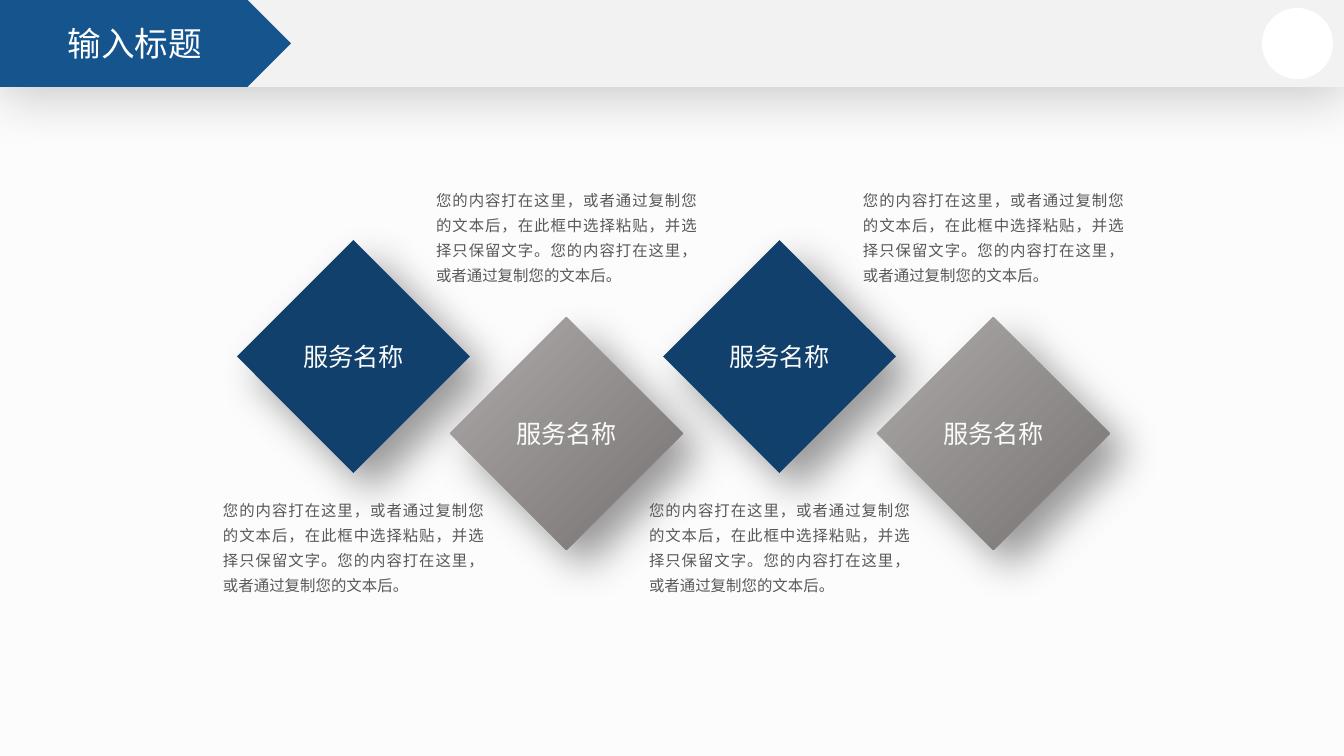
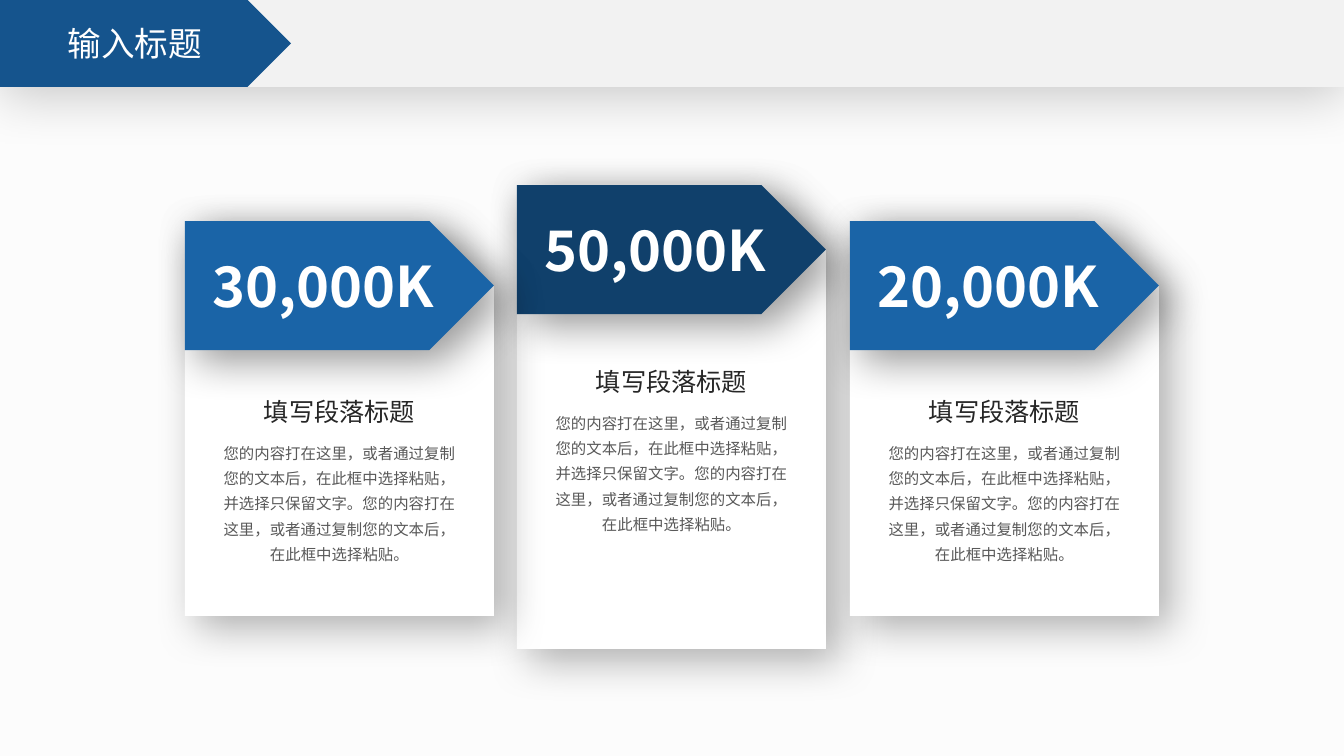
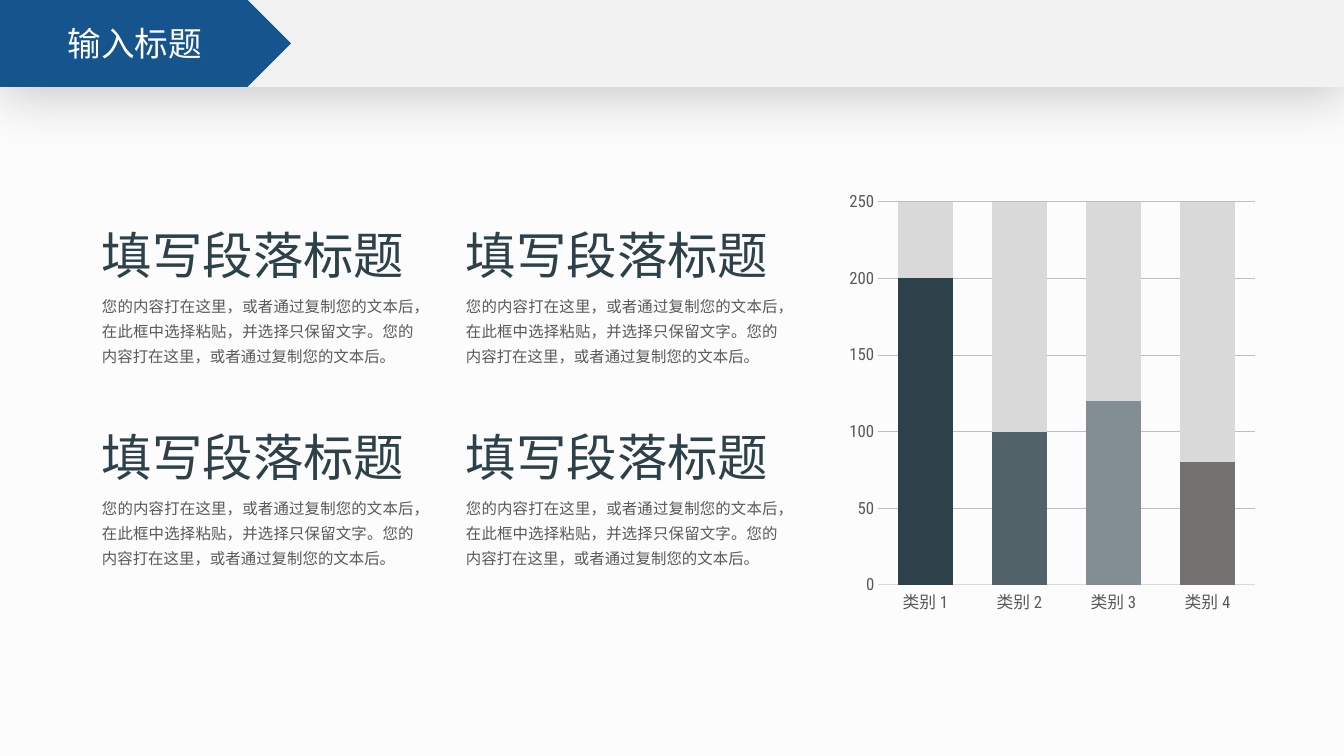
"""Build three slides: linked services, figure cards and a column chart with notes."""
from lxml.etree import SubElement
from pptx import Presentation
from pptx.chart.data import CategoryChartData as ChartData
from pptx.dml.color import RGBColor as Rgb
from pptx.enum.chart import XL_CHART_TYPE as Chart, XL_TICK_MARK as Tick
from pptx.enum.shapes import MSO_SHAPE as Form
from pptx.enum.text import MSO_ANCHOR as Anchor, MSO_AUTO_SIZE as Fit, PP_ALIGN as Align
from pptx.oxml.ns import qn
from pptx.util import Emu, Pt

PAPER = Rgb(0xFC, 0xFC, 0xFC)
BAND = Rgb(0xF2, 0xF2, 0xF2)
WHITE = Rgb(0xFF, 0xFF, 0xFF)
PALE = Rgb(0xFA, 0xFA, 0xFA)
TITLE = Rgb(0x15, 0x54, 0x8D)
NAVY = Rgb(0x10, 0x40, 0x6B)
BLUE = Rgb(0x1A, 0x64, 0xA7)
SILVER = Rgb(0xAF, 0xAB, 0xAB)
STONE = Rgb(0x76, 0x71, 0x71)
INK = Rgb(0x26, 0x26, 0x26)
GREY = Rgb(0x59, 0x59, 0x59)
SLATE = Rgb(0x2D, 0x41, 0x4A)
STEEL = Rgb(0x52, 0x62, 0x69)
MIST = Rgb(0x82, 0x8E, 0x93)
LIGHT = Rgb(0xD9, 0xD9, 0xD9)
GRID = Rgb(0xBF, 0xBF, 0xBF)

SANS = "Noto Sans CJK SC"
SLIM = "Roboto Condensed"
SCALE = 12192000 / 1344
BAR = 87

START = "您的内容打在这里，或者通过复制您的文本后，在此框中选择粘贴，并选择只保留文字。"
NOTE = START + "您的内容打在这里，或者通过复制您的文本后。"
LONG = START + "您的内容打在这里，或者通过复制您的文本后，在此框中选择粘贴。"
HEAD = "填写段落标题"


def px(*sizes):
    return [Emu(round(size * SCALE)) for size in sizes]


class Deck:
    def __init__(self):
        self.prs = Presentation()
        self.prs.slide_width, self.prs.slide_height = px(1344, 756)
        self.base = self.prs.slide_layouts[5]
        self.slide = None

    def dress(self):
        for holder in list(self.base.placeholders)[1:]:
            holder._element.getparent().remove(holder._element)
        fill = self.base.background.fill
        fill.solid()
        fill.fore_color.rgb = PAPER
        band = self.shape(Form.RECTANGLE, (0, 0, 1344, BAR), BAND, (20, 38, 7, 90))
        plate = self.shape(Form.PENTAGON, (0, 0, 291, BAR), TITLE)
        for spot, part in enumerate((band, plate), 2):
            self.base.shapes._spTree.insert(spot, part._element)

    def page(self, words):
        first = self.slide is None
        self.slide = self.prs.slides.add_slide(self.base)
        if first:
            self.dress()
        title = self.slide.shapes.title
        title.left, title.top, title.width, title.height = px(0, 0, 270, BAR)
        frame = title.text_frame
        frame.auto_size = Fit.NONE
        frame.vertical_anchor = Anchor.MIDDLE
        self.say(frame, words, 24, WHITE, Align.CENTER)

    def say(self, frame, words, size, color, align=Align.LEFT,
            bold=False, lead=None, before=None, after=None):
        para = frame.paragraphs[0]
        if para.runs:
            para = frame.add_paragraph()
        para.alignment = align
        para.line_spacing = lead and Pt(lead)
        para.space_before = before and Pt(before)
        para.space_after = after and Pt(after)
        run = para.add_run()
        run.text = words
        run.font.size = Pt(size)
        run.font.bold = bold
        run.font.color.rgb = color
        run.font.name = SANS
        SubElement(run.font._element, qn("a:ea"), typeface=SANS)

    def shape(self, form, box, color, shade=None):
        item = self.slide.shapes.add_shape(form, *px(*box))
        item.line.fill.background()
        if isinstance(color, list):
            item.fill.gradient()
            item.fill.gradient_angle = 315
            for stop, tone in zip(item.fill.gradient_stops, color):
                stop.color.rgb = tone
        else:
            item.fill.solid()
            item.fill.fore_color.rgb = color
        item.shadow.inherit = False
        if shade:
            self.shade(item, *shade)
        return item

    def shade(self, item, alpha, blur, far, turn):
        glow = item._element.spPr.find(qn("a:effectLst"))
        cast = SubElement(glow, qn("a:outerShdw"), blurRad=str(int(Pt(blur))),
                          dist=str(int(Pt(far))), dir=str(turn * 60000), rotWithShape="0")
        tone = SubElement(cast, qn("a:srgbClr"), val="000000")
        SubElement(tone, qn("a:alpha"), val=str(alpha * 1000))

    def label(self, item, words, size, color, bold=False):
        frame = item.text_frame
        self.plain(frame, False)
        frame.vertical_anchor = Anchor.MIDDLE
        self.say(frame, words, size, color, Align.CENTER, bold)

    def plain(self, frame, wrap=True):
        frame.word_wrap = wrap
        frame.margin_left = frame.margin_right = 0
        frame.margin_top = frame.margin_bottom = 0

    def box(self, place, wrap=True):
        frame = self.slide.shapes.add_textbox(*px(*place)).text_frame
        self.plain(frame, wrap)
        return frame

    def note(self, place):
        self.say(self.box(place), NOTE, 11, GREY, Align.JUSTIFY, lead=18, after=10)

    def card(self, left, top, tall, words, color, low):
        snip = self.shape(Form.SNIP_1_RECTANGLE, (left, top, 309, tall), WHITE, (30, 30, 12, 45))
        snip.adjustments[0] = 0.21
        plate = self.shape(Form.PENTAGON, (left, top, 309, 129), color, (40, 30, 12, 45))
        self.label(plate, words, 40, WHITE, True)
        frame = self.box((left + 37, low, 235, 164))
        self.say(frame, HEAD, 18, INK, Align.CENTER, lead=18)
        self.say(frame, LONG, 11, GREY, Align.CENTER, lead=18, before=8)

    def chart(self, place, data, rows):
        chart = self.slide.shapes.add_chart(Chart.COLUMN_STACKED, *px(*place), data).chart
        chart.has_legend = chart.has_title = False
        chart.font.name = SLIM
        chart.font.size = Pt(12)
        chart.font.color.rgb = GREY
        plot = chart.plots[0]
        plot.gap_width, plot.overlap = 70, 100
        plot.vary_by_categories = False
        for series, tones in zip(plot.series, rows):
            series.format.fill.solid()
            series.format.fill.fore_color.rgb = tones[0]
            for spot, tone in enumerate(tones[1:], 1):
                fill = series.points[spot].format.fill
                fill.solid()
                fill.fore_color.rgb = tone
        cats, vals = chart.category_axis, chart.value_axis
        for axis in (cats, vals):
            axis.major_tick_mark = axis.minor_tick_mark = Tick.NONE
        vals.minimum_scale, vals.maximum_scale, vals.major_unit = 0, 250, 50
        vals.format.line.fill.background()
        for line, tone in ((cats.format.line, LIGHT), (vals.major_gridlines.format.line, GRID)):
            line.color.rgb = tone
            line.width = Pt(0.75)


def main():
    deck = Deck()

    deck.page("输入标题")
    for spot in range(4):
        left, low = 237 + spot * 640 // 3, spot % 2
        color = [SILVER, STONE] if low else NAVY
        gem = deck.shape(Form.DIAMOND, (left, 240 + 77 * low, 233, 233), color, (40, 30, 18, 45))
        deck.label(gem, "服务名称", 18, PALE)
        deck.note((left - 14, 184 if low else 494, 261, 102))
    deck.shape(Form.OVAL, (1262, 8, 71, 71), WHITE)

    deck.page("输入标题")
    deck.card(517, 185, 464, "50,000K", NAVY, 371)
    for left, words in ((185, "30,000K"), (850, "20,000K")):
        deck.card(left, 221, 395, words, BLUE, 401)

    deck.page("输入标题")
    data = ChartData()
    data.categories = [f"类别 {num}" for num in range(1, 5)]
    data.add_series("Series 1", (200, 100, 120, 80))
    data.add_series("Series 2", (300,) * 4)
    deck.chart((841, 183, 422, 440), data, ((SLATE, STEEL, MIST, STONE), (LIGHT,)))
    for top in (224, 426):
        for left in (102, 466):
            deck.say(deck.box((left, top, 305, 61), False), HEAD, 36, SLATE)
            deck.note((left, top + 66, 312, 77))

    deck.prs.save("out.pptx")


if __name__ == "__main__":
    main()
